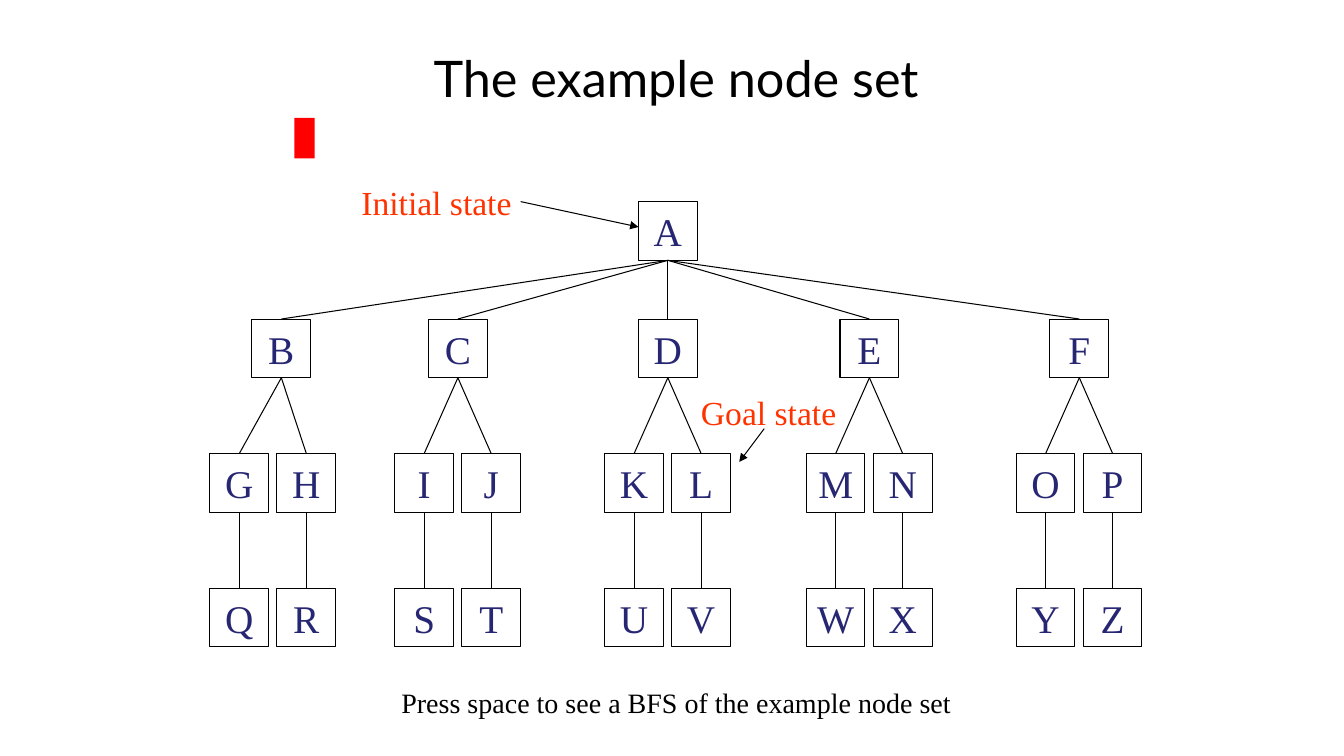
from lxml.etree import SubElement
from pptx import Presentation
from pptx.dml.color import RGBColor
from pptx.enum.shapes import MSO_CONNECTOR, MSO_SHAPE
from pptx.enum.text import MSO_ANCHOR, PP_ALIGN
from pptx.oxml.ns import qn
from pptx.util import Cm, Pt

BLACK = RGBColor(0x00, 0x00, 0x00)
NAVY = RGBColor(0x26, 0x26, 0x73)
RED = RGBColor(0xFF, 0x00, 0x00)
ORANGE = RGBColor(0xFF, 0x33, 0x00)
SERIF = "Times New Roman"

NODE_SIZE = 1.48
SIBLING_STEP = 1.69
ROOT_TOP, BRANCH_TOP, CHILD_TOP, LEAF_TOP = 5.08, 8.04, 11.43, 14.82
ROOT_CENTER = 16.83
BOTTOM_SITE, TOP_SITE = 2, 0

# branch, its centre, centre of its first child, children, leaves
BRANCHES = [
    ("B", 7.09, 6.03, "GH", "QR"),
    ("C", 11.54, 10.69, "IJ", "ST"),
    ("D", ROOT_CENTER, 15.98, "KL", "UV"),
    ("E", 21.91, 21.06, "MN", "WX"),
    ("F", 27.2, 26.35, "OP", "YZ"),
]

prs = Presentation()
prs.slide_width, prs.slide_height = Cm(33.87), Cm(19.05)
slide = prs.slides.add_slide(prs.slide_layouts[6])


def add_line(x1=0, y1=0, x2=0, y2=0):
    line = slide.shapes.add_connector(
        MSO_CONNECTOR.STRAIGHT, Cm(x1), Cm(y1), Cm(x2), Cm(y2))
    line.line.color.rgb = BLACK
    line.line.width = Pt(0.75)
    SubElement(line._element.spPr, qn("a:effectLst"))
    return line


def add_node(letter, center, top, parent=None):
    """Draw a lettered square and, if it has a parent, the edge to it."""
    node = slide.shapes.add_shape(
        MSO_SHAPE.RECTANGLE, Cm(center - NODE_SIZE / 2), Cm(top),
        Cm(NODE_SIZE), Cm(NODE_SIZE))
    node.shadow.inherit = False
    node.fill.background()
    node.line.color.rgb = BLACK
    node.line.width = Pt(0.75)
    frame = node.text_frame
    frame.margin_left = frame.margin_right = 0
    frame.vertical_anchor = MSO_ANCHOR.MIDDLE
    label = frame.paragraphs[0]
    label.text = letter
    label.alignment = PP_ALIGN.CENTER
    label.font.name, label.font.size = SERIF, Pt(28)
    label.font.color.rgb = NAVY
    if parent is not None:
        edge = add_line()
        edge.begin_connect(parent, BOTTOM_SITE)
        edge.end_connect(node, TOP_SITE)
    return node


# Search tree
root = add_node("A", ROOT_CENTER, ROOT_TOP)
for letter, center, first_child, children, leaves in BRANCHES:
    branch = add_node(letter, center, BRANCH_TOP, root)
    for i, (child_letter, leaf_letter) in enumerate(zip(children, leaves)):
        child_center = first_child + i * SIBLING_STEP
        child = add_node(child_letter, child_center, CHILD_TOP, branch)
        add_node(leaf_letter, child_center, LEAF_TOP, child)

# Red marker
marker = slide.shapes.add_shape(
    MSO_SHAPE.RECTANGLE, Cm(7.42), Cm(2.97), Cm(0.51), Cm(1.02))
marker.shadow.inherit = False
marker.fill.solid()
marker.fill.fore_color.rgb = RED
marker.line.fill.background()

# Title, state labels and caption
for text, left, top, width, height, font, size, color, align in [
    ("The example node set", 9.95, 1.06, 14.18, 1.78, "Lato", 36, BLACK, PP_ALIGN.CENTER),
    ("Initial state", 8.86, 4.45, 4.88, 1.3, SERIF, 24, ORANGE, PP_ALIGN.LEFT),
    ("Goal state", 17.36, 9.74, 4.02, 1.3, SERIF, 24, ORANGE, PP_ALIGN.CENTER),
    ("Press space to see a BFS of the example node set", 9.53, 17.15, 15.03, 1.12,
     SERIF, 20, BLACK, PP_ALIGN.CENTER),
]:
    box = slide.shapes.add_textbox(Cm(left), Cm(top), Cm(width), Cm(height))
    box.text_frame.word_wrap = True
    paragraph = box.text_frame.paragraphs[0]
    paragraph.text = text
    paragraph.alignment = align
    paragraph.font.name, paragraph.font.size = font, Pt(size)
    paragraph.font.color.rgb = color

# Arrows from the state labels to their nodes
for ends in [(13.12, 5.08, 16.09, 5.72), (19.26, 10.8, 18.63, 11.64)]:
    arrow = add_line(*ends)
    SubElement(arrow.line._get_or_add_ln(), qn("a:tailEnd"), type="triangle")

prs.save("out.pptx")
